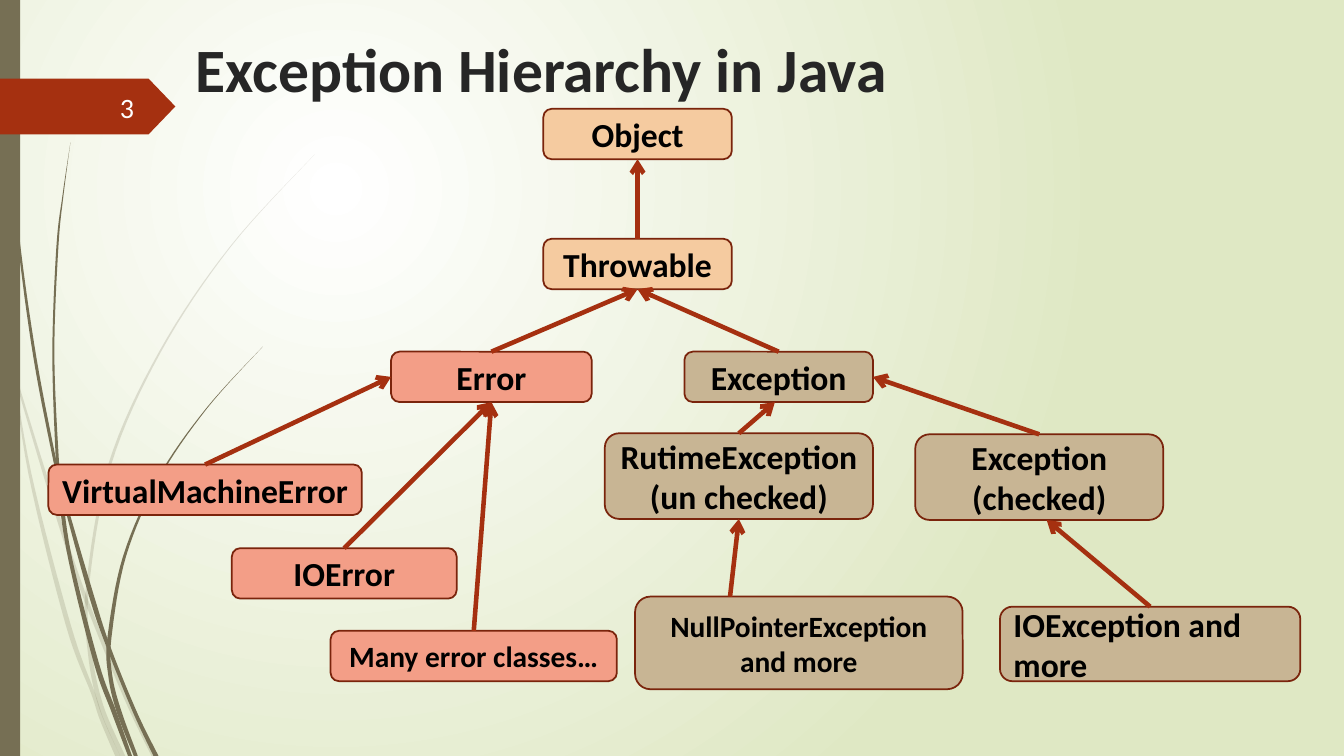
from lxml import etree
from pptx import Presentation
from pptx.dml.color import RGBColor
from pptx.enum.shapes import MSO_CONNECTOR, MSO_SHAPE
from pptx.enum.text import MSO_ANCHOR, PP_ALIGN
from pptx.oxml.ns import qn
from pptx.util import Inches, Pt

SLIDE_WIDTH, SLIDE_HEIGHT = Inches(13.33), Inches(7.5)
CELL = SLIDE_WIDTH / 40
TITLE_ONLY = 5
FONT = "Calibri"

ROUNDED, RECTANGLE, ARROW_TAG = MSO_SHAPE.ROUNDED_RECTANGLE, MSO_SHAPE.RECTANGLE, MSO_SHAPE.PENTAGON
STRAIGHT = MSO_CONNECTOR.STRAIGHT
MIDDLE = MSO_ANCHOR.MIDDLE
LEFT, CENTER, RIGHT = PP_ALIGN.LEFT, PP_ALIGN.CENTER, PP_ALIGN.RIGHT
TOP_SIDE, LEFT_SIDE, BOTTOM_SIDE, RIGHT_SIDE = range(4)

WHITE = RGBColor(0xFF, 0xFF, 0xFF)
BLACK = RGBColor(0x00, 0x00, 0x00)
CHARCOAL = RGBColor(0x26, 0x26, 0x26)
PALE_GREEN = RGBColor(0xDF, 0xE8, 0xC4)
OLIVE = RGBColor(0x76, 0x6F, 0x54)
RUST = RGBColor(0xA5, 0x30, 0x10)
DARK_RUST = RGBColor(0x7A, 0x24, 0x0C)
SALMON = RGBColor(0xF3, 0x9E, 0x87)
PEACH = RGBColor(0xF5, 0xCB, 0xA0)
TAN = RGBColor(0xC8, 0xB5, 0x94)

PALE_STEMS = [
    [(0, 8.72, 0.1), (0.33, 10.5, 0.04), (0.48, 11.28, 0.06), (1.8, 15.63, 0.12),
     (2.58, 17.91, 0.12), (3.75, 20.79, 0.12), (4.58, 22.5, 0.15)],
    [(0.33, 10.5, 0), (0.89, 14.1, 0.09), (2.03, 18.6, 0.15), (2.77, 20.64, 0.12),
     (3.03, 21.42, 0.12), (3.5, 22.5, 0.15)],
    [(9.36, 4.6, 0), (6.86, 7.34, 0.03), (4.77, 10.46, 0.06), (3.26, 13.85, 0.09),
     (2.6, 17.52, 0.09), (2.67, 19.38, 0.12), (3, 21, 0.15), (3.65, 22.5, 0.15)],
]
DARK_STEMS = [
    [(0.1, 0, 0.03), (0.14, 1.44, 0.03), (0.23, 3.3, 0.03), (0.54, 7, 0.06),
     (1.04, 10.65, 0.09), (1.68, 13.95, 0.09), (1.86, 14.7, 0.09), (2.72, 17.73, 0.15),
     (3.24, 19.29, 0.12), (4.02, 21.21, 0.12), (4.64, 22.5, 0.15)],
    [(2.1, 4.23, 0), (1.88, 5.79, 0.03), (1.71, 7.35, 0.06), (1.59, 10.47, 0.06),
     (1.7, 13.53, 0.09), (1.8, 14.7, 0.12), (2.1, 16.68, 0.12), (2.87, 19.74, 0.15),
     (3.39, 21.18, 0.15), (3.87, 22.5, 0.12)],
    [(7.82, 10.32, 0), (6.14, 12.17, 0.03), (4.71, 14.25, 0.06), (3.71, 16.55, 0.09),
     (3.26, 18.96, 0.12), (3.28, 20.1, 0.12), (3.54, 21.18, 0.15), (4.04, 22.5, 0.12)],
]

CLASS_BOXES = {
    "IOError": ("IOError", 6.9, 16.32, 6.69, 1.5, SALMON, 24, CENTER),
    "more errors": ("Many error classes…", 9.84, 18.78, 8.52, 1.5, SALMON, 21, CENTER),
    "VirtualMachineError": ("VirtualMachineError", 1.44, 13.83, 9.33, 1.5, SALMON, 24, CENTER),
    "Throwable": ("Throwable", 16.17, 7.11, 5.61, 1.5, PEACH, 24, CENTER),
    "Error": ("Error", 11.64, 10.47, 5.97, 1.5, SALMON, 24, CENTER),
    "Exception": ("Exception", 20.37, 10.47, 5.61, 1.5, TAN, 24, CENTER),
    "IOException": ("IOException and more", 29.76, 18.06, 8.94, 2.22, TAN, 24, LEFT),
    "NullPointer": ("NullPointerException and more", 18.9, 17.76, 9.75, 2.76, TAN, 21, CENTER),
    "checked": ("Exception\n(checked)", 27.24, 12.93, 7.38, 2.55, TAN, 24, CENTER),
    "unchecked": ("RutimeException\n(un checked)", 18, 12.9, 7.98, 2.55, TAN, 24, CENTER),
    "Object": ("Object", 16.17, 3.24, 5.61, 1.5, PEACH, 24, CENTER),
}
INHERITANCE = [
    ("Throwable", "Object", BOTTOM_SIDE, 0.5, 0.5),
    ("Error", "Throwable", BOTTOM_SIDE, 0.5, 0.5),
    ("Exception", "Throwable", BOTTOM_SIDE, 0.5, 0.5),
    ("VirtualMachineError", "Error", LEFT_SIDE, 0.5, 0.5),
    ("IOError", "Error", BOTTOM_SIDE, 0.5, 0.5),
    ("more errors", "Error", BOTTOM_SIDE, 0.5, 0.5),
    ("unchecked", "Exception", BOTTOM_SIDE, 0.5, 0.48),
    ("checked", "Exception", RIGHT_SIDE, 0.5, 0.5),
    ("NullPointer", "unchecked", BOTTOM_SIDE, 0.29, 0.5),
    ("IOException", "checked", BOTTOM_SIDE, 0.5, 0.53),
]


def cells(*counts):
    return [round(count * CELL) for count in counts]


def set_background(slide):
    fill = slide.background.fill
    fill.gradient()
    for stop, color in zip(fill.gradient_stops, (WHITE, PALE_GREEN)):
        stop.color.rgb = color
    gradient = slide.element.find(".//" + qn("a:gradFill"))
    gradient.remove(gradient.find(qn("a:lin")))
    circle = etree.SubElement(gradient, qn("a:path"), path="circle")
    etree.SubElement(circle, qn("a:fillToRect"), l="50000", t="50000", r="100000", b="100000")


def write(frame, text, size, color, alignment, bold=False):
    frame.word_wrap = True
    frame.vertical_anchor = MIDDLE
    frame.text = text
    for paragraph in frame.paragraphs:
        paragraph.alignment = alignment
        paragraph.font.name = FONT
        paragraph.font.size = Pt(size)
        paragraph.font.bold = bold
        paragraph.font.color.rgb = color


def paint(shape, color):
    shape.shadow.inherit = False
    shape.fill.solid()
    shape.fill.fore_color.rgb = color
    shape.line.fill.background()


def smooth(knots, steps=8):
    padded = [knots[0], *knots, knots[-1]]
    for before, start, end, after in zip(padded, padded[1:], padded[2:], padded[3:]):
        for step in range(steps):
            t = step / steps
            yield [b + t * (c - a + t * (2 * a - 5 * b + 4 * c - d + t * (3 * (b - c) + d - a))) / 2
                   for a, b, c, d in zip(before, start, end, after)] if t else start
    yield knots[-1]


def add_stem(slide, knots, opacity):
    curve = list(smooth(knots))
    outline = [cells(x - width / 2, y) for x, y, width in curve]
    outline += [cells(x + width / 2, y) for x, y, width in reversed(curve)]
    builder = slide.shapes.build_freeform(*outline[0])
    builder.add_line_segments(outline[1:], close=True)
    stem = builder.convert_to_shape()
    paint(stem, OLIVE)
    if opacity < 100:
        color = stem.element.spPr.find(".//" + qn("a:srgbClr"))
        etree.SubElement(color, qn("a:alpha"), val=str(opacity * 1000))


def add_block(slide, kind, area, color):
    block = slide.shapes.add_shape(kind, *cells(*area))
    paint(block, color)
    return block


def add_class_box(slide, text, left, top, width, height, color, size, alignment):
    box = add_block(slide, ROUNDED, (left, top, width, height), color)
    box.line.color.rgb = DARK_RUST
    box.line.width = Pt(1.25)
    write(box.text_frame, text, size, BLACK, alignment, bold=True)
    return box


def side_point(box, side, share):
    if side in (TOP_SIDE, BOTTOM_SIDE):
        return round(box.left + share * box.width), box.top + box.height * (side == BOTTOM_SIDE)
    return box.left + box.width * (side == RIGHT_SIDE), round(box.top + share * box.height)


def add_inheritance_arrow(slide, child, parent, side, child_share, parent_share):
    start = side_point(child, TOP_SIDE, child_share)
    end = side_point(parent, side, parent_share)
    arrow = slide.shapes.add_connector(STRAIGHT, *start, *end)
    if child_share == 0.5:
        arrow.begin_connect(child, TOP_SIDE)
    if parent_share == 0.5:
        arrow.end_connect(parent, side)
    arrow.line.color.rgb = RUST
    arrow.line.width = Pt(3.25)
    etree.SubElement(arrow.line._get_or_add_ln(), qn("a:tailEnd"), type="arrow")
    etree.SubElement(arrow.element.spPr, qn("a:effectLst"))


def main():
    presentation = Presentation()
    presentation.slide_width, presentation.slide_height = SLIDE_WIDTH, SLIDE_HEIGHT
    slide = presentation.slides.add_slide(presentation.slide_layouts[TITLE_ONLY])
    set_background(slide)
    for stems, opacity in ((PALE_STEMS, 20), (DARK_STEMS, 100)):
        for knots in stems:
            add_stem(slide, knots, opacity)
    add_block(slide, RECTANGLE, (0, 0, 0.6, 22.5), OLIVE)
    number_tag = add_block(slide, ARROW_TAG, (0, 2.34, 5.22, 1.66), RUST)
    number_tag.adjustments[0] = 0.48

    title = slide.shapes.title
    title.left, title.top, title.width, title.height = cells(5.52, 0.75, 24.24, 2.52)
    write(title.text_frame, "Exception Hierarchy in Java", 44, CHARCOAL, LEFT, bold=True)
    number = slide.shapes.add_textbox(*cells(1.74, 2.58, 2.55, 1.2))
    write(number.text_frame, "3", 20, WHITE, RIGHT)

    boxes = {name: add_class_box(slide, *details) for name, details in CLASS_BOXES.items()}
    for child, parent, side, child_share, parent_share in INHERITANCE:
        add_inheritance_arrow(slide, boxes[child], boxes[parent], side, child_share, parent_share)
    presentation.save("out.pptx")


if __name__ == "__main__":
    main()
